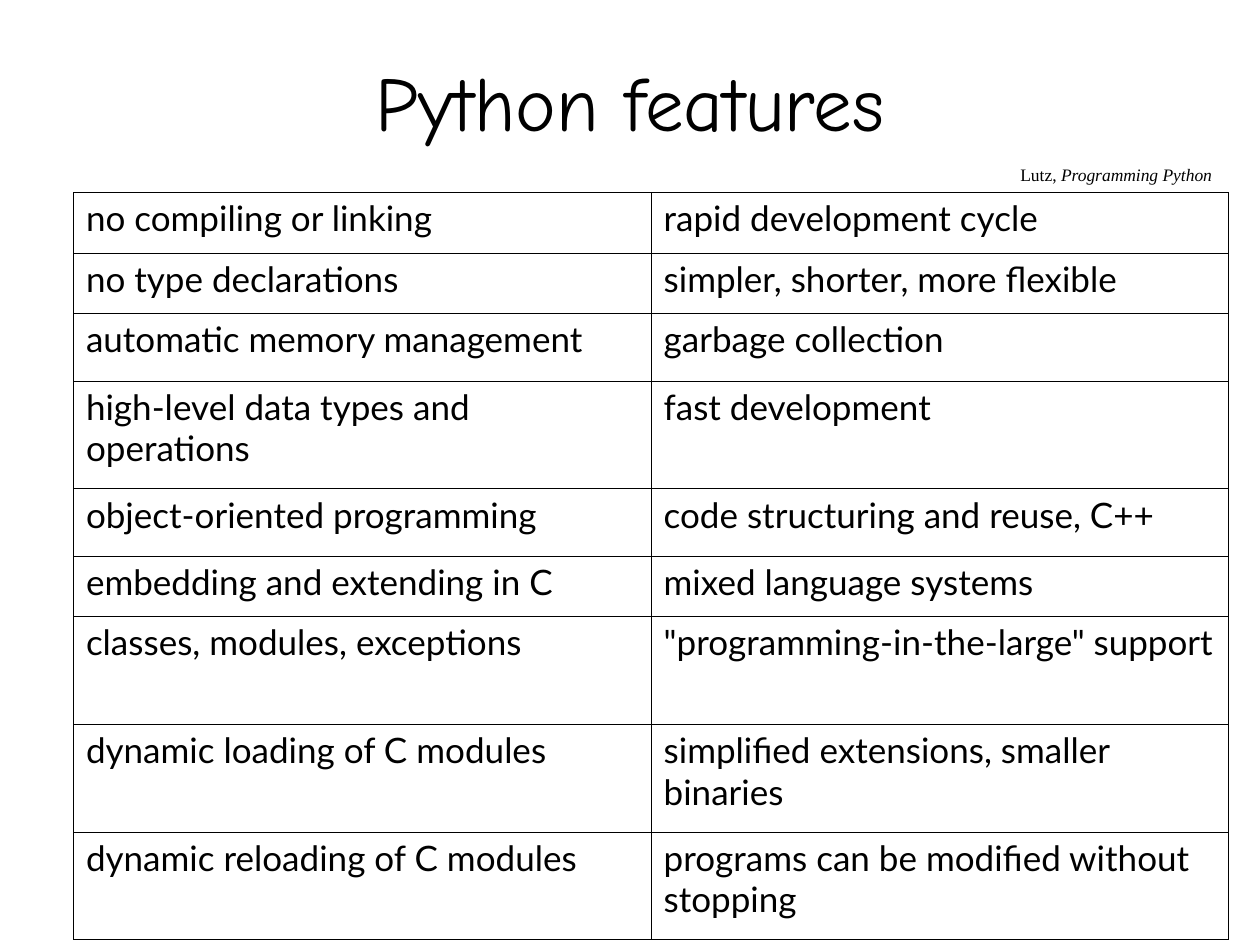
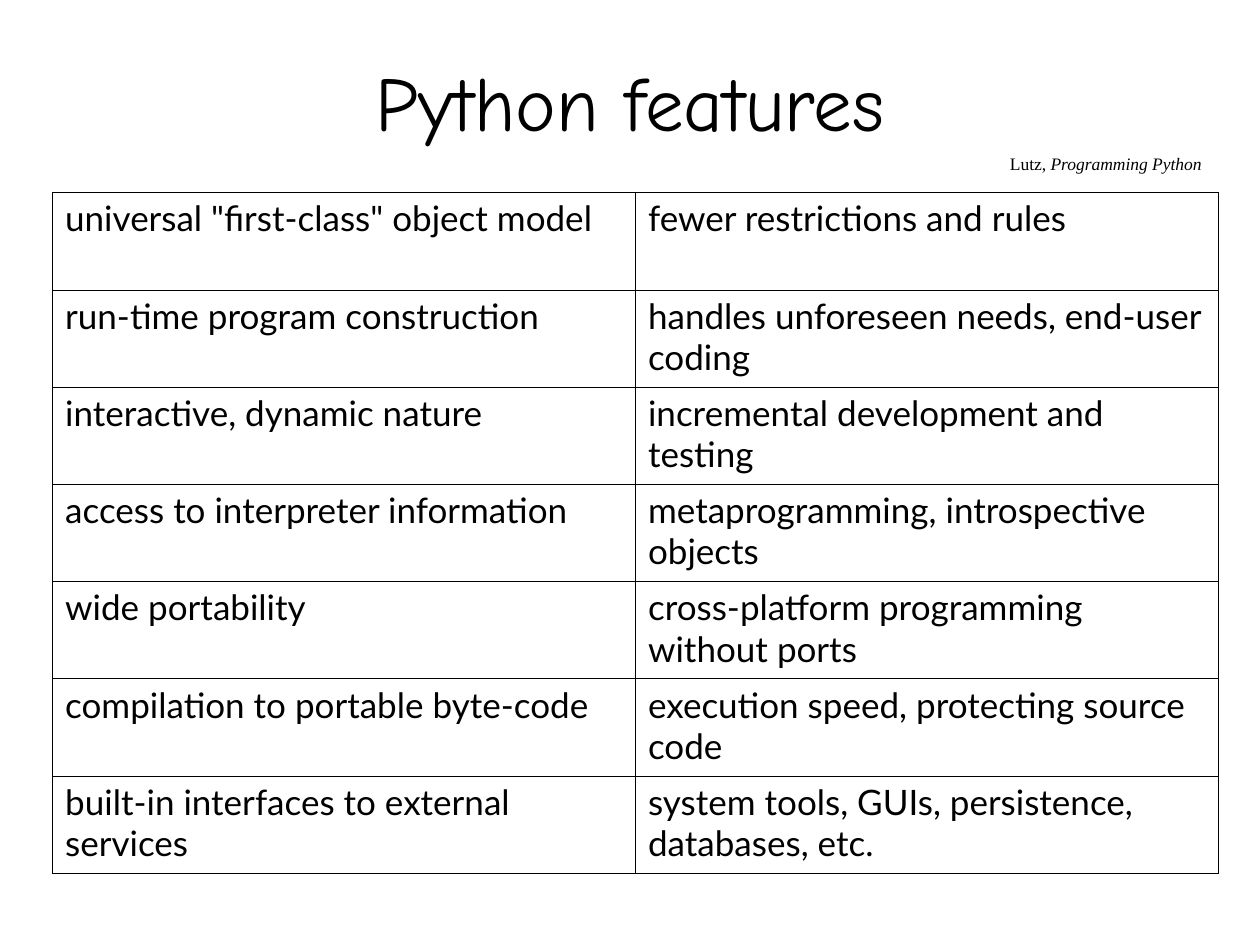
from dataclasses import dataclass

from lxml import etree
from pptx import Presentation
from pptx import util as u
from pptx.dml.color import RGBColor
from pptx.enum import text
from pptx.oxml.ns import qn
from pptx.util import Cm

# Content: feature and benefit; row heights, table left and note top in cm
TITLE = "Python features"
SOURCE = [("Lutz, ", False), ("Programming Python", True)]
SHORT, MEDIUM, TALL, EVEN = 1.22, 1.36, 2.17, 1.96

SLIDES = [
    dict(left=1.48, width=23.29, note_top=3.18, rows=[
        (SHORT, "no compiling or linking", "rapid development cycle"),
        (SHORT, "no type declarations", "simpler, shorter, more flexible"),
        (MEDIUM, "automatic memory management", "garbage collection"),
        (TALL, "high-level data types and operations", "fast development"),
        (MEDIUM, "object-oriented programming", "code structuring and reuse, C++"),
        (SHORT, "embedding and extending in C", "mixed language systems"),
        (TALL, "classes, modules, exceptions", '"programming-in-the-large" support'),
        (TALL, "dynamic loading of C modules", "simplified extensions, smaller binaries"),
        (TALL, "dynamic reloading of C modules", "programs can be modified without stopping"),
    ]),
    dict(left=1.06, width=23.5, note_top=2.97, rows=[
        (EVEN, 'universal "first-class" object model', "fewer restrictions and rules"),
        (EVEN, "run-time program construction", "handles unforeseen needs, end-user coding"),
        (EVEN, "interactive, dynamic nature", "incremental development and testing"),
        (EVEN, "access to interpreter information", "metaprogramming, introspective objects"),
        (EVEN, "wide portability", "cross-platform programming without ports"),
        (EVEN, "compilation to portable byte-code", "execution speed, protecting source code"),
        (EVEN, "built-in interfaces to external services",
         "system tools, GUIs, persistence, databases, etc."),
    ]),
]


@dataclass(frozen=True)
class Theme:
    ink: str = "000000"
    title_font: str = "Comic Neue"
    body_font: str = "Lato"
    note_font: str = "Times New Roman"
    title_size: int = 44
    body_size: int = 20
    note_size: int = 10
    outer_line: float = 0.5
    inner_line: float = 0.23


THEME = Theme()
TABLE_TOP = 3.88
NOTE_WIDTH, NOTE_HEIGHT, NOTE_INSET = 4.37, 0.69, 0.08


def write(tf, runs, *, font, size, align=None, spacing=None, before=None):
    """Fill a text frame with one paragraph of (text, italic) runs."""
    p = tf.paragraphs[0]
    p.alignment = align
    p.line_spacing = spacing
    p.space_before = before
    for words, italic in runs:
        r = p.add_run()
        r.text = words
        r.font.name, r.font.size, r.font.italic = font, u.Pt(size), italic
        r.font.color.rgb = RGBColor.from_string(THEME.ink)


def set_borders(cell, widths):
    """Draw cell borders; widths maps L, R, T, B to points."""
    tc_pr = cell._tc.get_or_add_tcPr()
    for side, width in widths.items():
        ln = etree.SubElement(tc_pr, qn(f"a:ln{side}"), w=str(u.Pt(width)))
        fill = etree.SubElement(ln, qn("a:solidFill"))
        etree.SubElement(fill, qn("a:srgbClr"), val=THEME.ink)


def add_title(s):
    sp = s.shapes.title
    sp.left, sp.top, sp.width, sp.height = Cm(1.9), Cm(0.43), Cm(21.6), Cm(3.18)
    tf = sp.text_frame
    tf.auto_size = text.MSO_AUTO_SIZE.NONE
    tf.vertical_anchor = text.MSO_ANCHOR.MIDDLE
    write(tf, [(TITLE, False)], font=THEME.title_font, size=THEME.title_size,
          align=text.PP_ALIGN.CENTER)


def add_features(s, left, width, rows):
    height = sum(row[0] for row in rows)
    table = s.shapes.add_table(len(rows), 2, Cm(left), Cm(TABLE_TOP),
                               Cm(width), Cm(height)).table
    table.first_row = table.horz_banding = False
    for col in table.columns:
        col.width = Cm(width / 2)
    for i, (row_height, *entries) in enumerate(rows):
        table.rows[i].height = Cm(row_height)
        for j, entry in enumerate(entries):
            cell = table.cell(i, j)
            on_edge = {"L": j == 0, "R": j == 1, "T": i == 0, "B": i == len(rows) - 1}
            set_borders(cell, {side: THEME.outer_line if edge else THEME.inner_line
                               for side, edge in on_edge.items()})
            cell.fill.background()
            write(cell.text_frame, [(entry, False)], font=THEME.body_font,
                  size=THEME.body_size, spacing=0.98, before=u.Pt(5))


def add_source(s, right, top):
    sp = s.shapes.add_textbox(Cm(right - NOTE_WIDTH), Cm(top),
                              Cm(NOTE_WIDTH), Cm(NOTE_HEIGHT))
    tf = sp.text_frame
    tf.word_wrap = False
    tf.auto_size = text.MSO_AUTO_SIZE.SHAPE_TO_FIT_TEXT
    write(tf, SOURCE, font=THEME.note_font, size=THEME.note_size)


def main():
    prs = Presentation()
    prs.slide_width, prs.slide_height = Cm(25.4), Cm(19.05)
    for content in SLIDES:
        s = prs.slides.add_slide(prs.slide_layouts[5])  # title only
        left, width = content["left"], content["width"]
        add_title(s)
        add_features(s, left, width, content["rows"])
        add_source(s, left + width - NOTE_INSET, content["note_top"])
    prs.save("out.pptx")


if __name__ == "__main__":
    main()
